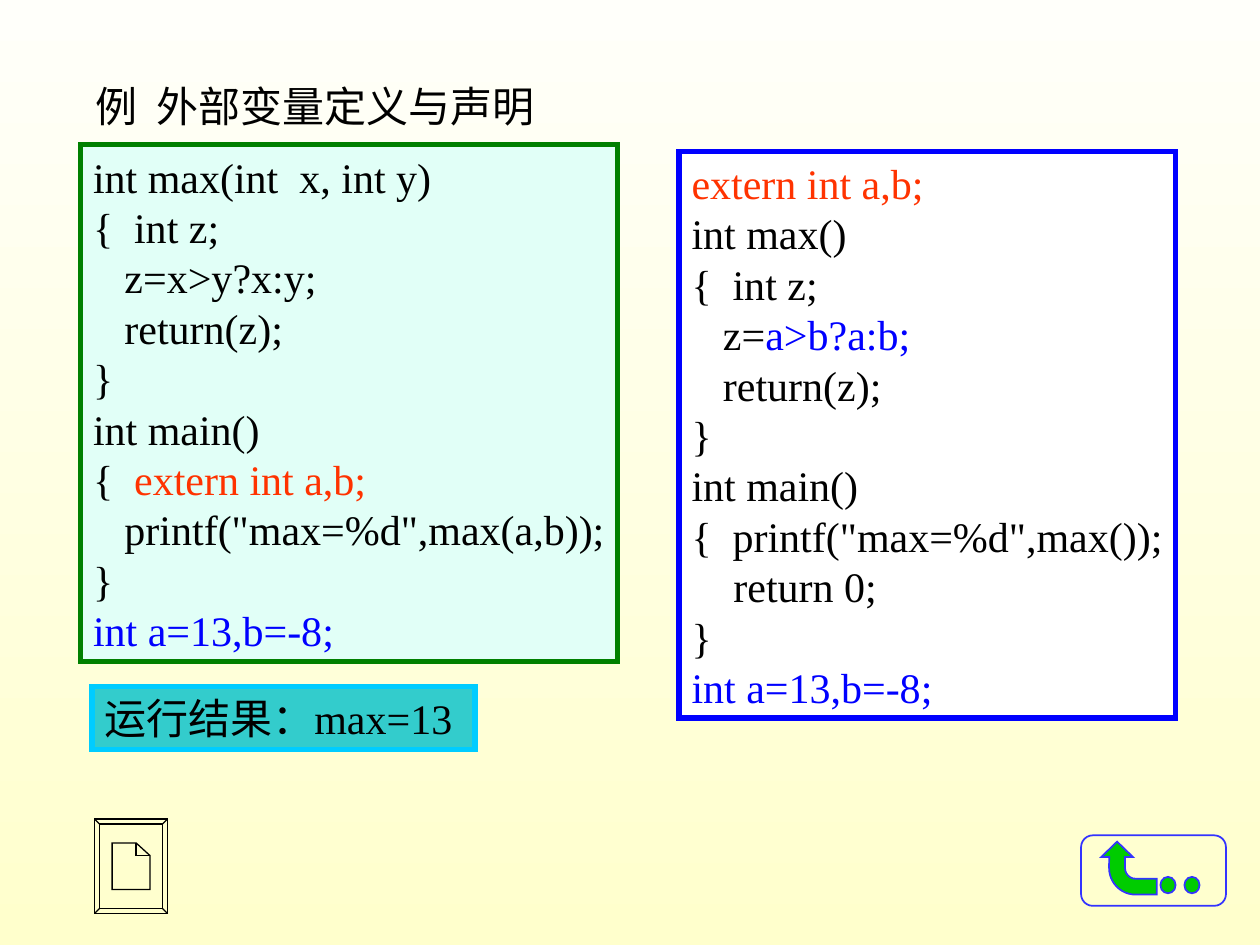
from dataclasses import dataclass

from lxml.etree import SubElement
from pptx import Presentation
from pptx.dml.color import RGBColor
from pptx.enum.shapes import MSO_SHAPE as Kind
from pptx.enum.text import MSO_ANCHOR as Anchor, MSO_AUTO_SIZE as Fit, PP_ALIGN as Align
from pptx.oxml.ns import qn
from pptx.util import Inches, Pt

COLORS = {
    "black": "000000", "red": "FF3300", "blue": "0000FF", "white": "FFFFFF",
    "mint": "E1FFF7", "green": "008000", "teal": "33CCCC", "cyan": "00CCFF",
    "leaf": "00CC00", "edge": "3333FF", "ivory": "FFFFFA", "cream": "FFFFCC",
}
FONT = "Times New Roman"

Area = tuple[float, float, float, float]
Line = list[tuple[str, str]]  # (text, colour) parts


@dataclass
class Panel:
    area: Area
    fill: str
    edge: str
    lines: list[Line]
    anchor: Anchor = Anchor.TOP


def plain(*texts: str) -> list[Line]:
    return [[(text, "black")] for text in texts]


PANELS = [
    Panel((0.64, 1.15, 4.26, 4.1), "mint", "green", [
        *plain("int max(int  x, int y)", "{  int z;", "   z=x>y?x:y;",
               "   return(z);", "}", "int main()"),
        [("{  ", "black"), ("extern int a,b;", "red")],
        *plain('   printf("max=%d",max(a,b));', "}"),
        [("int a=13,b=-8;", "blue")],
    ]),
    Panel((0.73, 5.45, 3.04, 0.5), "teal", "cyan", plain("运行结果：max=13")),
    Panel((5.39, 1.2, 3.94, 4.5), "white", "blue", [
        [("extern int a,b;", "red")],
        *plain("int max()", "{  int z;"),
        [("   z=", "black"), ("a>b?a:b;", "blue")],
        *plain("   return(z);", "}", "int main()", '{  printf("max=%d",max());',
               "    return 0;", "}"),
        [("int a=13,b=-8;", "blue")],
    ], Anchor.MIDDLE),
]


def rgb(name: str) -> RGBColor:
    return RGBColor.from_string(COLORS[name])


def place(shape, area: Area) -> None:
    shape.left, shape.top, shape.width, shape.height = map(Inches, area)


def paint(shape, fill: str | None, edge: str, width: float) -> None:
    """Set fill and line, with square line corners."""
    if fill:
        shape.fill.solid()
        shape.fill.fore_color.rgb = rgb(fill)
    else:
        shape.fill.background()
    shape.line.color.rgb = rgb(edge)
    shape.line.width = Pt(width)
    line = shape.element.spPr.find(qn("a:ln"))
    SubElement(line, qn("a:miter")).set("lim", "800000")


def write(frame, lines: list[Line], anchor: Anchor) -> None:
    frame.word_wrap = False
    frame.auto_size = Fit.SHAPE_TO_FIT_TEXT
    frame.vertical_anchor = anchor
    for i, line in enumerate(lines):
        par = frame.add_paragraph() if i else frame.paragraphs[0]
        par.alignment = Align.LEFT
        par.font.name, par.font.size = FONT, Pt(24)
        if len(line) == 1:
            par.font.color.rgb = rgb(line[0][1])
        for text, color in line:
            run = par.add_run()
            run.text = text
            if len(line) > 1:
                run.font.color.rgb = rgb(color)


def add_panel(slide, panel: Panel) -> None:
    box = slide.shapes.add_textbox(*map(Inches, panel.area))
    paint(box, panel.fill, panel.edge, 3)
    write(box.text_frame, panel.lines, panel.anchor)


def add_mark(slide, kind: Kind, area: Area, fill: str | None = "leaf"):
    mark = slide.shapes.add_shape(kind, *map(Inches, area))
    mark.shadow.inherit = False
    paint(mark, fill, "edge", 1)
    return mark


def add_page(slide) -> None:
    """Draw the bevelled button that holds a page, in hundredths of an inch."""
    left, top, right, low, rim = 75, 650, 133, 725, 4
    outer = [(left, top), (right, top), (right, low), (left, low)]
    inner = [(left + rim, top + rim), (right - rim, top + rim),
             (right - rim, low - rim), (left + rim, low - rim)]
    sheet = [(89, 669), (108, 669), (119, 679), (119, 706), (89, 706)]
    fold = [(108, 669), (108, 679), (119, 679)]
    loops = [(pts, True) for pts in (inner, sheet)]
    loops += [(pts, False) for pts in (fold, *zip(outer, inner))]

    pen = slide.shapes.build_freeform(left, top, scale=Inches(0.01))
    pen.add_line_segments(outer[1:], close=True)
    for pts, close in loops:
        pen.move_to(*pts[0])
        pen.add_line_segments(pts[1:], close=close)
    page = pen.convert_to_shape()
    page.shadow.inherit = False
    paint(page, None, "black", 0.75)


def add_back(slide) -> None:
    """Draw the return button: frame, bent arrow and two dots."""
    frame = add_mark(slide, Kind.ROUNDED_RECTANGLE, (8.58, 6.63, 1.15, 0.56), None)
    frame.adjustments[0] = 0.167
    arrow = add_mark(slide, Kind.BENT_ARROW, (8.75, 6.67, 0.42, 0.44))
    arrow.rotation = 270
    for i, value in enumerate((0.3, 0.3, 0.29, 0.5)):
        arrow.adjustments[i] = value
    for x in (9.21, 9.4):
        add_mark(slide, Kind.OVAL, (x, 6.96, 0.12, 0.13))


def main() -> None:
    deck = Presentation()
    deck.slide_width, deck.slide_height = Inches(10), Inches(7.5)
    slide = deck.slides.add_slide(deck.slide_layouts[5])

    back = slide.background.fill
    back.gradient()
    back.gradient_angle = 270
    for stop, color in zip(back.gradient_stops, ("ivory", "cream")):
        stop.color.rgb = rgb(color)

    title = slide.shapes.title
    place(title, (0.66, 0.59, 3.9, 0.5))
    write(title.text_frame, plain("例  外部变量定义与声明"), Anchor.TOP)

    add_page(slide)
    for panel in PANELS:
        add_panel(slide, panel)
    add_back(slide)
    deck.save("out.pptx")


if __name__ == "__main__":
    main()
